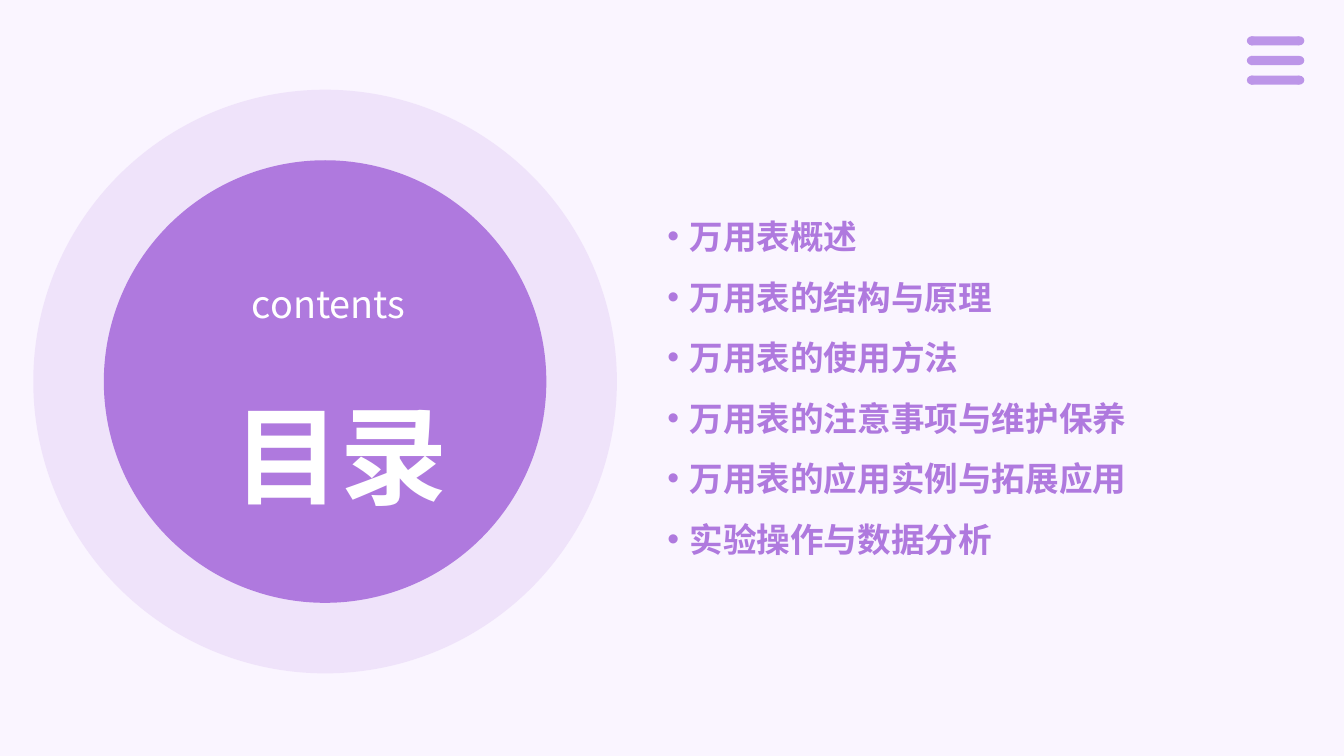
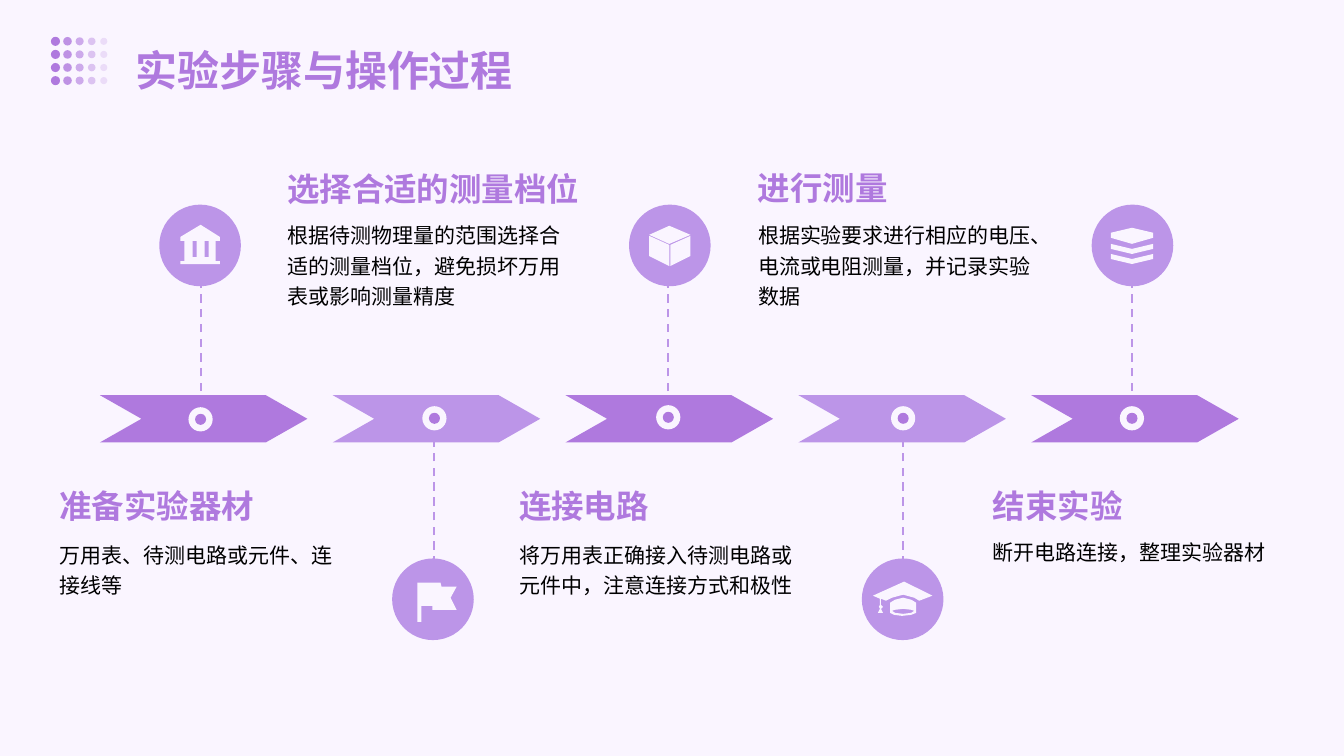
from lxml import etree
from pptx import Presentation
from pptx.dml.color import RGBColor
from pptx.enum.dml import MSO_LINE
from pptx.enum.shapes import MSO_CONNECTOR, MSO_SHAPE
from pptx.enum.text import MSO_ANCHOR, MSO_AUTO_SIZE, PP_ALIGN
from pptx.oxml.ns import qn
from pptx.util import Inches, Pt

OVAL = MSO_SHAPE.OVAL
RECT = MSO_SHAPE.RECTANGLE
CHEVRON = MSO_SHAPE.CHEVRON
STRAIGHT = MSO_CONNECTOR.STRAIGHT
DASH = MSO_LINE.DASH
TOP, MIDDLE = MSO_ANCHOR.TOP, MSO_ANCHOR.MIDDLE
LEFT, CENTER = PP_ALIGN.LEFT, PP_ALIGN.CENTER
GROW = MSO_AUTO_SIZE.SHAPE_TO_FIT_TEXT

FONT = "Noto Sans CJK SC"
PURPLE, LILAC, PALE = "AF79DE", "BC95E8", "FAF5FF"
WHITE, BLACK = "FFFFFF", "000000"
INSETS = {"margin_left": 0.14, "margin_top": 0.14, "margin_right": 0.06, "margin_bottom": 0.14}

rgb = RGBColor.from_string


def paint(sp, color, alpha=100):
    sp.shadow.inherit = False
    sp.fill.solid()
    sp.fill.fore_color.rgb = rgb(color)
    sp.line.fill.background()
    if alpha < 100:
        clr = sp._element.spPr.find(qn("a:solidFill"))[0]
        etree.SubElement(clr, qn("a:alpha")).set("val", str(alpha * 1000))


def write(sp, box, lines, size, color, bold=False, spacing=1.2, align=LEFT, anchor=TOP, bullet=None):
    for name, value in zip(("left", "top", "width", "height"), box):
        setattr(sp, name, Inches(value))
    tf = sp.text_frame
    for name, value in INSETS.items():
        setattr(tf, name, Inches(value))
    for name, value in {"word_wrap": True, "auto_size": GROW, "vertical_anchor": anchor}.items():
        setattr(tf, name, value)
    for i, line in enumerate(lines):
        p = tf.add_paragraph() if i else tf.paragraphs[0]
        p.alignment = align
        p.line_spacing = spacing
        if bullet:
            pPr = p._p.get_or_add_pPr()
            pPr.set("marL", str(Inches(0.22)))
            pPr.set("indent", str(-Inches(0.22)))
            etree.SubElement(pPr, qn("a:buFont")).set("typeface", "Arial")
            etree.SubElement(pPr, qn("a:buChar")).set("char", bullet)
        r = p.add_run()
        r.text = line
        for name, value in {"size": Pt(size), "bold": bold, "name": FONT}.items():
            setattr(r.font, name, value)
        r.font.color.rgb = rgb(color)
        etree.SubElement(r._r.get_or_add_rPr(), qn("a:ea")).set("typeface", FONT)


prs = Presentation()
prs.slide_width, prs.slide_height = Inches(40 / 3), Inches(7.5)
bg = prs.slide_master.background.fill
bg.solid()
bg.fore_color.rgb = rgb(PALE)
title_only = prs.slide_layouts[5]

s = prs.slides.add_slide(title_only)
for x, y, d, alpha in ((0.33, 0.89, 5.79, 14), (1.03, 1.59, 4.39, 100)):
    sp = s.shapes.add_shape(OVAL, Inches(x), Inches(y), Inches(d), Inches(d))
    paint(sp, PURPLE, alpha)
title = s.shapes.title
s.shapes._spTree.append(title._element)
write(title, (1.35, 2.63, 3.97, 2.76), ["目录"], 76.5, WHITE, bold=True, spacing=1.86, align=CENTER)
sp = s.shapes.add_textbox(0, 0, 0, 0)
write(sp, (1.53, 2.26, 3.38, 1.14), ["contents"], 27, WHITE, spacing=1.86, align=CENTER)

topics = [
    "万用表概述",
    "万用表的结构与原理",
    "万用表的使用方法",
    "万用表的注意事项与维护保养",
    "万用表的应用实例与拓展应用",
    "实验操作与数据分析",
]
sp = s.shapes.add_textbox(0, 0, 0, 0)
write(sp, (6.48, 1.11, 6.35, 5.27), topics, 24, PURPLE, bold=True, spacing=1.5, anchor=MIDDLE, bullet="•")

for i in range(3):
    for kind, x, w in ((OVAL, 12.37, 0.1), (OVAL, 12.84, 0.1), (RECT, 12.41, 0.48)):
        sp = s.shapes.add_shape(kind, Inches(x), Inches(0.36 + 0.195 * i), Inches(w), Inches(0.09))
        paint(sp, LILAC)

s = prs.slides.add_slide(title_only)
write(s.shapes.title, (1.2, 0.1, 10.94, 1), ["实验步骤与操作过程"], 30, PURPLE, bold=True, spacing=1.4)

dots = s.shapes.add_group_shape()
for row in range(4):
    for col in range(5):
        d = 0.09 - 0.005 * col
        x, y = 0.55 + 0.12 * col - d / 2, 0.41 + 0.13 * row - d / 2
        sp = dots.shapes.add_shape(OVAL, Inches(x), Inches(y), Inches(d), Inches(d))
        paint(sp, PURPLE, 100 - 20 * col)

notes = [
    (0.45, 4.6, 5.19, "准备实验器材", "万用表、待测电路或元件、连接线等"),
    (2.71, 1.46, 2.02, "选择合适的测量档位", "根据待测物理量的范围选择合适的测量档位，避免损坏万用表或影响测量精度"),
    (5.01, 4.6, 5.19, "连接电路", "将万用表正确接入待测电路或元件中，注意连接方式和极性"),
    (7.38, 1.45, 2.02, "进行测量", "根据实验要求进行相应的电压、电流或电阻测量，并记录实验数据"),
    (9.71, 4.6, 5.16, "结束实验", "断开电路连接，整理实验器材"),
]
for x, head_y, body_y, head, body in notes:
    sp = s.shapes.add_textbox(0, 0, 0, 0)
    write(sp, (x, head_y, 3.17, 0.76), [head], 23.2, PURPLE, bold=True)
    sp = s.shapes.add_textbox(0, 0, 0, 0)
    write(sp, (x, body_y, 2.99, 1.55), [body], 15, BLACK)

bank = [[(21, 32), (41, 20), (60, 32), (60, 36), (21, 36)]]
for x1, y1, x2, y2 in ((21, 56, 60, 59), (25, 52, 56, 56), (25, 36, 33, 52), (37, 36, 45, 52), (49, 36, 56, 52)):
    bank.append([(x1, y1), (x2, y1), (x2, y2), (x1, y2)])
flag = [[(40, 47), (29, 47), (29, 63), (25, 63), (25, 24), (48, 24),
         (49, 28), (64, 28), (58, 39), (64, 51), (40, 51)]]
cube = [
    [(40, 21), (20, 30), (40, 39), (61, 30)],
    [(41, 40), (41, 61), (61, 51), (61, 31)],
    [(20, 51), (40, 61), (40, 40), (20, 31)],
]
cap = [
    [(57, 42), (52, 39), (41, 36), (30, 39), (24, 42), (19, 40), (19, 46), (21, 48), (19, 50),
     (21, 54), (16, 54), (18, 50), (17, 48), (18, 46), (18, 40), (11, 37), (42, 23), (70, 37)],
    [(41, 39), (49, 41), (54, 44), (54, 54), (49, 56), (40, 57), (32, 56), (28, 54), (28, 44), (33, 41)],
    [(41, 55), (49, 54), (52, 52), (49, 51), (41, 50), (33, 51), (30, 52), (33, 54)],
]
layers = [[(19, 28), (40, 23), (61, 28), (61, 33), (40, 39), (19, 33)]]
for y in (39, 49):
    layers.append([(19, y), (40, y + 5), (61, y), (61, y + 5), (40, y + 10), (19, y + 5)])

steps = [
    (1.99, 4.16, 1.58, bank),
    (4.31, 4.15, 3.89, flag),
    (6.63, 4.14, 6.24, cube),
    (8.96, 4.15, 8.55, cap),
    (11.23, 4.15, 10.83, layers),
]
for i, (x, y, badge_x, icon) in enumerate(steps):
    sp = s.shapes.add_shape(CHEVRON, Inches(0.99 + 2.31 * i), Inches(3.92), Inches(2.06), Inches(0.47))
    sp.adjustments[0] = 0.88
    paint(sp, LILAC if i % 2 else PURPLE)

    badge_y, start, end = (5.54, 5.6, 4.19) if i % 2 else (2.03, 3.88, 2.82)
    ln = s.shapes.add_connector(STRAIGHT, Inches(x), Inches(start), Inches(x), Inches(end))
    ln.line.color.rgb = rgb(LILAC)
    ln.line.width = Pt(1.5)
    ln.line.dash_style = DASH
    etree.SubElement(ln._element.spPr, qn("a:effectLst"))

    pin = [(x - d / 2, y - d / 2, d, color) for d, color in ((0.24, PALE), (0.11, PURPLE))]
    for left, top, d, color in pin + [(badge_x, badge_y, 0.81, LILAC)]:
        sp = s.shapes.add_shape(OVAL, Inches(left), Inches(top), Inches(d), Inches(d))
        paint(sp, color)

    fb = s.shapes.build_freeform(*icon[0][0], scale=Inches(0.01))
    for j, outline in enumerate(icon):
        if j:
            fb.move_to(*outline[0])
        fb.add_line_segments(outline[1:], close=True)
    sp = fb.convert_to_shape(Inches(badge_x), Inches(badge_y))
    paint(sp, PALE)

prs.save("out.pptx")
